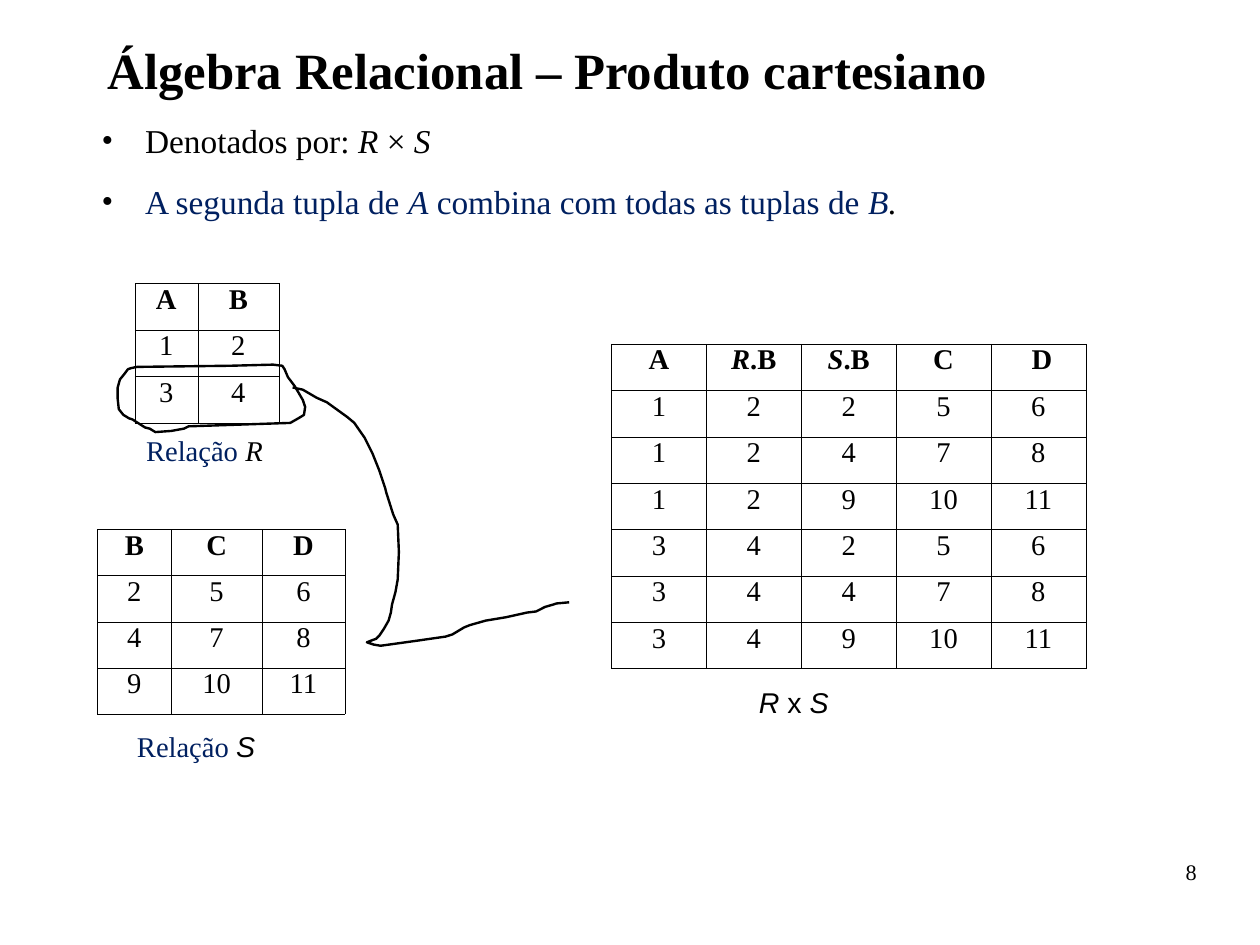
from pptx import Presentation
from pptx.dml.color import RGBColor
from pptx.enum.text import MSO_ANCHOR, MSO_AUTO_SIZE, PP_ALIGN
from pptx.oxml import parse_xml
from pptx.oxml.ns import nsdecls
from pptx.util import Cm, Inches, Pt

COLORS = {"ink": "000000", "navy": "002060"}
SERIF, SANS = "Times New Roman", "Arial"

prs = Presentation()
prs.slide_width, prs.slide_height = Cm(28), Cm(21)
slide = prs.slides.add_slide(prs.slide_layouts[5])


def write(paragraph, size, runs):
    """Each run is text, style letters (b, i), colour and font."""
    for text, style, color, font in runs:
        run = paragraph.add_run()
        run.text = text
        run.font.size, run.font.name = Pt(size), font
        run.font.bold, run.font.italic = "b" in style, "i" in style
        run.font.color.rgb = RGBColor.from_string(COLORS[color])


def text_frame(box, inset_x=0, inset_y=0):
    frame = box.text_frame
    frame.word_wrap, frame.auto_size = True, MSO_AUTO_SIZE.NONE
    frame.vertical_anchor = MSO_ANCHOR.TOP
    frame.margin_left = frame.margin_right = Inches(inset_x)
    frame.margin_top = frame.margin_bottom = Inches(inset_y)
    return frame


# Title
title = slide.shapes.title
title.left, title.top = Inches(0.94), Inches(0.39)
title.width, title.height = Inches(9.53), Inches(0.67)
heading = text_frame(title).paragraphs[0]
heading.alignment, heading.line_spacing = PP_ALIGN.LEFT, 0.93
write(heading, 32, [("Álgebra Relacional – Produto cartesiano", "b", "ink", SERIF)])

# Bullets
points = [
    [("Denotados por: ", "", "ink", SERIF), ("R", "i", "ink", SERIF),
     (" × ", "", "ink", SERIF), ("S", "i", "ink", SERIF)],
    [("A segunda tupla de ", "", "navy", SERIF), ("A", "i", "navy", SERIF),
     (" combina com todas as tuplas de ", "", "navy", SERIF),
     ("B", "i", "navy", SERIF), (".", "i", "ink", SERIF)],
]
body = text_frame(slide.shapes.add_textbox(
    Inches(0.89), Inches(1.06), Inches(9.53), Inches(5.98)), 0, 0.02)
for index, runs in enumerate(points):
    point = body.add_paragraph() if index else body.paragraphs[0]
    point.line_spacing, point.space_after = 0.93, Pt(14.6)
    point.space_before = Pt(0.4 * index)
    props = point._p.get_or_add_pPr()
    props.set("marL", str(Inches(0.38)))
    props.set("indent", str(-Inches(0.38)))
    for bullet in (f'buClr {nsdecls("a")}><a:srgbClr val="{COLORS["ink"]}"/></a:buClr>',
                   f'buFont {nsdecls("a")} typeface="{SERIF}"/>',
                   f'buChar {nsdecls("a")} char="•"/>'):
        props.append(parse_xml("<a:" + bullet))
    write(point, 21, runs)

# Relations: left, top, height, column widths, rows
relation_r = [("A", "B"), (1, 2), (3, 4)]
relation_s = [("B", "C", "D"), (2, 5, 6), (4, 7, 8), (9, 10, 11)]
product = [("A", "R.B", "S.B", "C", " D")]
product += [r + s for r in relation_r[1:] for s in relation_s[1:]]
relations = [
    (1.18, 2.48, 1.22, [0.55, 0.71], relation_r),
    (0.85, 4.63, 1.62, [0.65, 0.79, 0.73], relation_s),
    (5.35, 3.01, 2.84, [0.83] * 5, product),
]
for left, top, height, widths, rows in relations:
    relation = slide.shapes.add_table(
        len(rows), len(widths), Inches(left), Inches(top),
        Inches(sum(widths)), Inches(height)).table
    relation.first_row = relation.horz_banding = False
    for column, width in zip(relation.columns, widths):
        column.width = Inches(width)
    for r, row in enumerate(rows):
        for c, value in enumerate(row):
            cell = relation.cell(r, c)
            for side in ("lnL", "lnR", "lnT", "lnB"):
                cell._tc.get_or_add_tcPr().append(parse_xml(
                    f'<a:{side} {nsdecls("a")} w="762"><a:solidFill>'
                    f'<a:srgbClr val="{COLORS["ink"]}"/></a:solidFill></a:{side}>'))
            cell.fill.background()
            entry = cell.text_frame.paragraphs[0]
            entry.alignment, entry.line_spacing = PP_ALIGN.CENTER, 0.8
            weight = "" if r else "b"
            source, dot, name = str(value).rpartition(".")
            if source:
                write(entry, 18, [(source, weight + "i", "ink", SERIF)])
            write(entry, 18, [(dot + name, weight, "ink", SERIF)])

# Captions under the relations
captions = [
    (1.18, 3.74, 1.42, [("Relação ", "", "navy", SERIF), ("R", "i", "ink", SERIF)]),
    (1.10, 6.33, 1.42, [("Relação ", "", "navy", SERIF), ("S", "i", "ink", SANS)]),
    (6.54, 5.94, 1.81, [("R", "i", "ink", SANS), (" x ", "", "ink", SANS),
                        ("S", "i", "ink", SANS)]),
]
for left, top, width, runs in captions:
    caption = slide.shapes.add_textbox(
        Inches(left), Inches(top), Inches(width), Inches(0.4))
    write(text_frame(caption, 0.1, 0.05).paragraphs[0], 18, runs)

# Page number
page = text_frame(slide.shapes.add_textbox(
    Inches(7.9), Inches(7.53), Inches(2.57), Inches(0.57))).paragraphs[0]
page.alignment, page.line_spacing = PP_ALIGN.RIGHT, 0.95
write(page, 14, [("8", "", "ink", SERIF)])

# Hand-drawn loop round the second tuple, and the stroke towards the product,
# in hundredths of an inch
tuple_loop = [
    (109, 327), (105, 332), (103, 339), (103, 349), (104, 358),
    (108, 363), (113, 366), (116, 367), (127, 374), (131, 375),
    (136, 378), (150, 377), (161, 375), (165, 373), (254, 370),
    (261, 366), (266, 363), (267, 356), (265, 350), (258, 338),
    (252, 330), (249, 323), (247, 320), (239, 319), (201, 320),
    (120, 321), (115, 322), (112, 323),
]
product_stroke = [
    (256, 339), (265, 341), (277, 348), (286, 352), (304, 365),
    (310, 370), (319, 383), (326, 397), (332, 412), (337, 427),
    (338, 431), (344, 450), (348, 459), (349, 483), (348, 507),
    (346, 518), (343, 529), (342, 536), (340, 543), (336, 550),
    (332, 556), (329, 559), (326, 560), (321, 562), (327, 564),
    (333, 565), (362, 561), (390, 557), (396, 555), (406, 549),
    (411, 547), (425, 543), (443, 540), (452, 538), (461, 536),
    (469, 535), (473, 533), (477, 531), (484, 529), (487, 528),
    (498, 527),
]
for trace, closed in ((tuple_loop, True), (product_stroke, False)):
    pen = slide.shapes.build_freeform(*trace[0], scale=Inches(0.01))
    pen.add_line_segments(trace[1:], close=closed)
    stroke = pen.convert_to_shape()
    stroke.shadow.inherit = False
    stroke.fill.background()
    stroke.line.width = Pt(1.5)
    stroke.line.color.rgb = RGBColor.from_string(COLORS["ink"])

prs.save("out.pptx")
